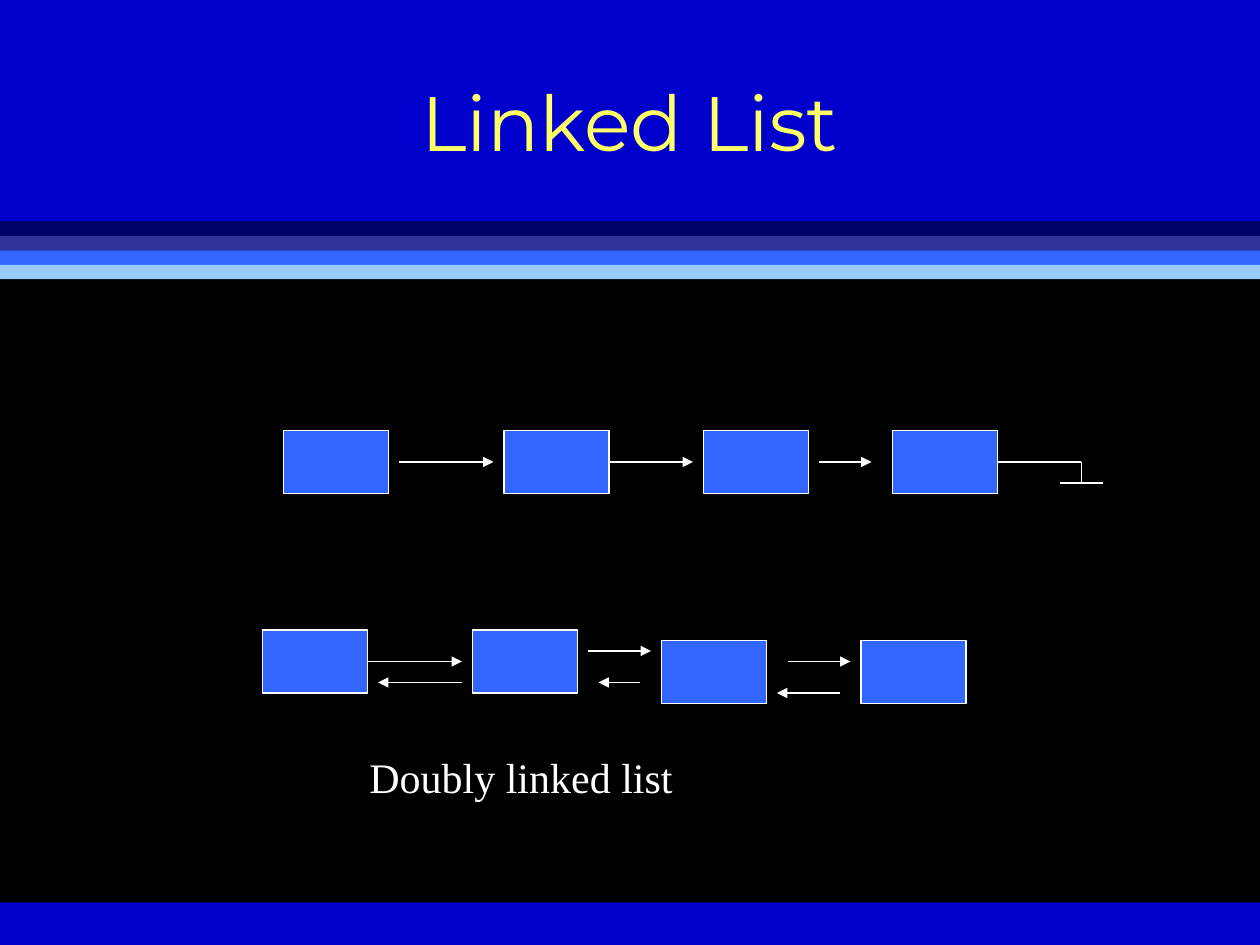
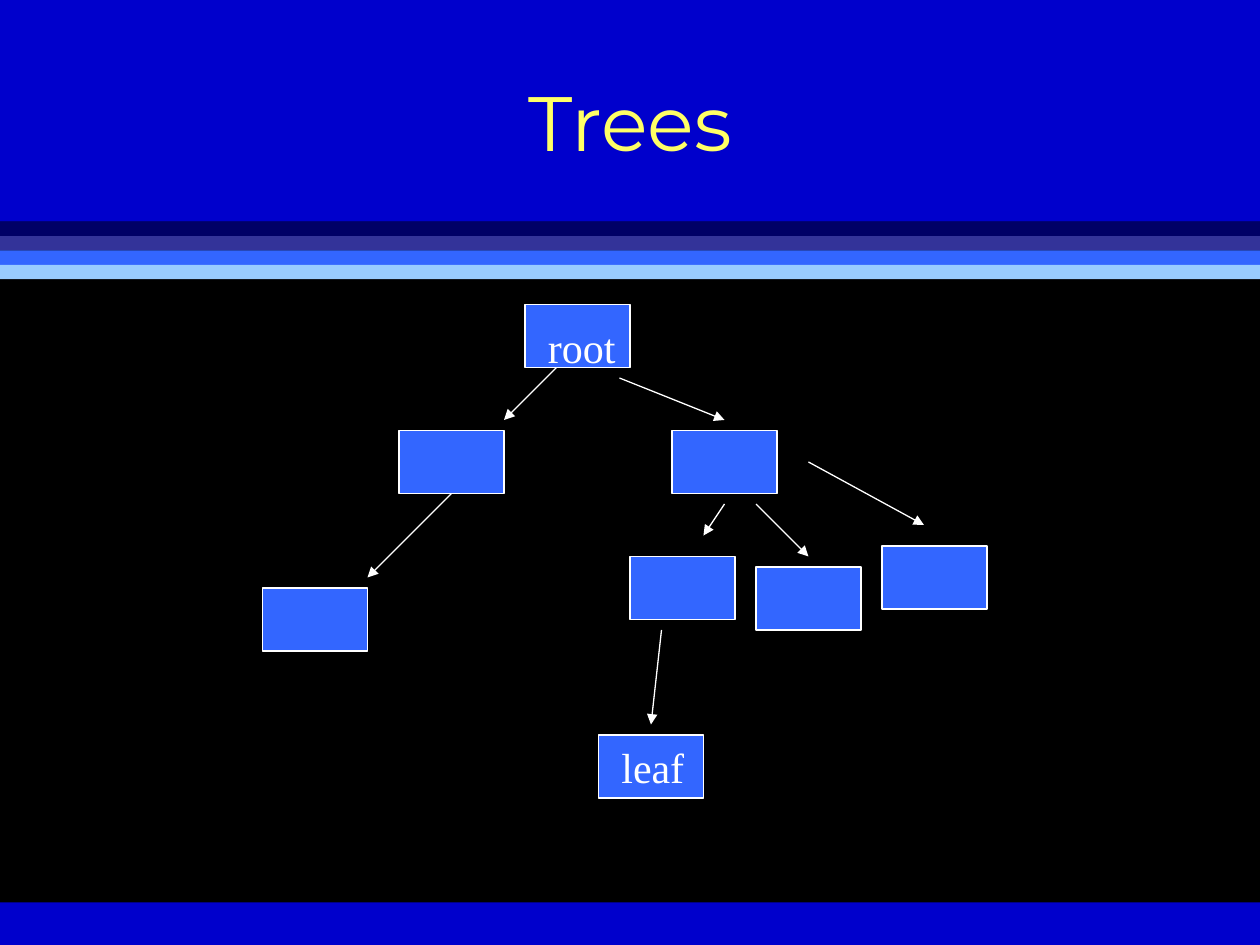
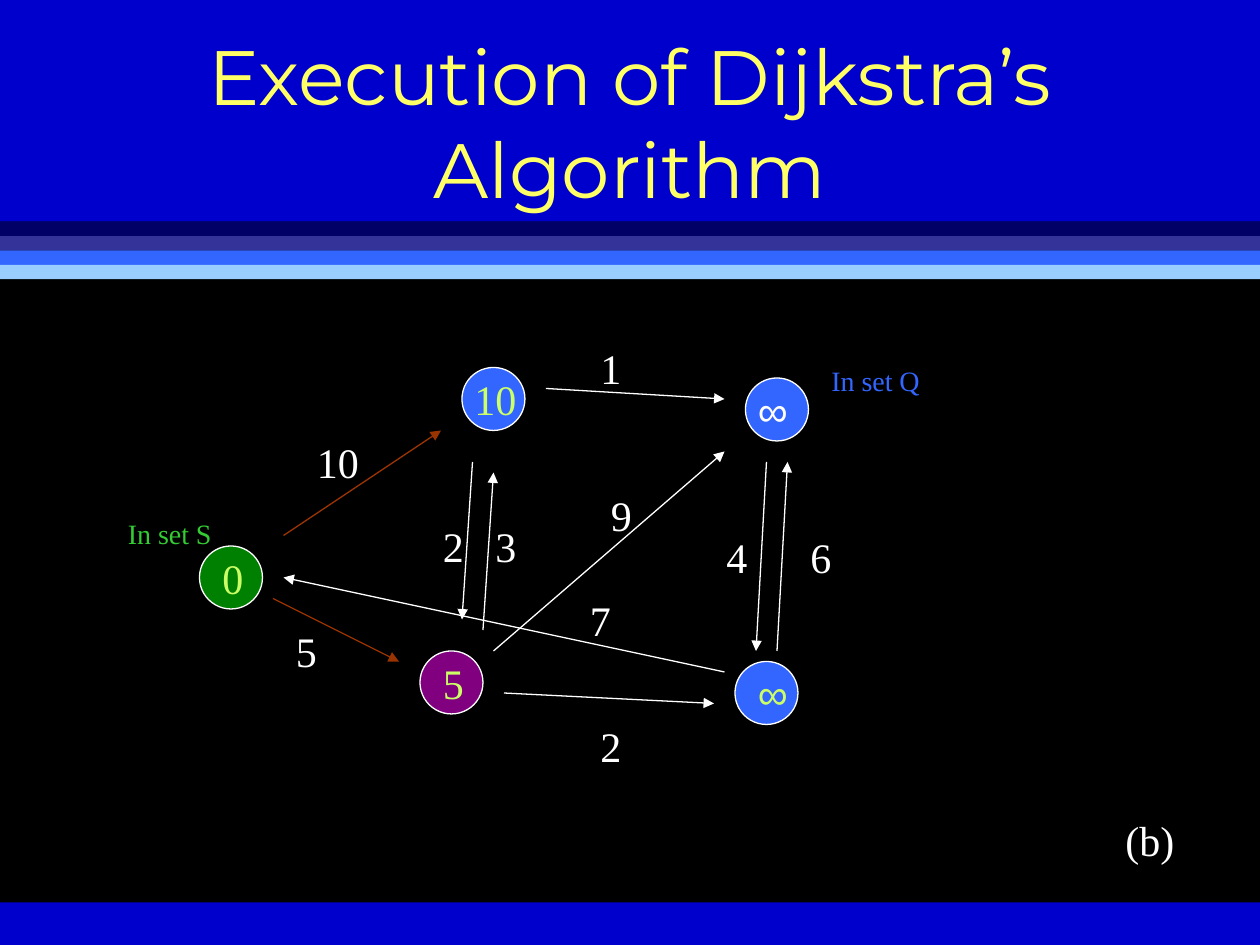
import pptx
import pptx.dml.color
import pptx.enum.shapes
import pptx.enum.text
import pptx.oxml
import pptx.oxml.ns
import pptx.util
from pptx.util import Cm

RECTANGLE = pptx.enum.shapes.MSO_SHAPE.RECTANGLE
OVAL = pptx.enum.shapes.MSO_SHAPE.OVAL
WHITE, YELLOW, LIME = "FFFFFF", "FFFF66", "CCFF66"
BLUE, BROWN, GREEN, PURPLE = "3366FF", "993300", "008000", "800080"
SERIF, SANS, TITLE_FONT = "Times New Roman", "Arial", "Montserrat"

# The diagrams sit on a grid of twelve steps to the inch.
STEP = 2.54 / 12
NODE_WIDTH, NODE_HEIGHT = 10, 6
CIRCLE_SIZE = 6
LABEL_HEIGHT = 6

# Shared bands: top, height (cm), colour
STRIPE_TOP, STRIPE_HEIGHT = 4.47, 0.29
STRIPES = ["000066", "333399", BLUE, "99CCFF"]
BANDS = [(3.81, 15.24, "000000"), (18.19, 0.86, "0000CC"), (0, STRIPE_TOP, "0000CC")]
BANDS += [(STRIPE_TOP + i * STRIPE_HEIGHT, STRIPE_HEIGHT, color)
          for i, color in enumerate(STRIPES)]

# nodes: left, top / circles: left, top, fill
# arrows and lines: start x, start y, end x, end y
# labels: text, left, top, width, format
SLIDES = [
    {
        "title": "Linked List",
        "nodes": [(27, 41), (48, 41), (67, 41), (85, 41),
                  (25, 60), (45, 60), (63, 61), (82, 61)],
        "arrows": [(38, 44, 47, 44), (58, 44, 66, 44), (78, 44, 83, 44),
                   (35, 63, 44, 63), (56, 62, 62, 62), (75, 63, 81, 63),
                   (44, 65, 36, 65), (61, 65, 57, 65), (80, 66, 74, 66)],
        "lines": [(95, 44, 103, 44), (103, 44, 103, 46), (101, 46, 105, 46)],
        "labels": [("Doubly linked list", 34, 71, 37, {})],
    },
    {
        "title": "Trees",
        "nodes": [(50, 29), (38, 41), (64, 41), (25, 56),
                  (60, 53), (72, 54), (84, 52), (57, 70)],
        "arrows": [(53, 35, 48, 40), (43, 47, 35, 55), (59, 36, 69, 40),
                   (69, 48, 67, 51), (72, 48, 77, 53), (77, 44, 88, 50),
                   (63, 60, 62, 69)],
        "labels": [("root", 51, 30, 9, {}), ("leaf", 58, 70, 12, {})],
    },
    {
        "title": "Execution of Dijkstra’s Algorithm",
        "circles": [(19, 52, GREEN), (40, 62, PURPLE), (70, 63, BLUE),
                    (71, 36, BLUE), (44, 35, BLUE)],
        "chosen arrows": [(27, 51, 42, 41), (26, 57, 38, 63)],
        "arrows": [(45, 44, 44, 59), (46, 60, 47, 45), (52, 37, 69, 38),
                   (73, 44, 72, 62), (74, 62, 75, 44), (48, 66, 68, 67),
                   (69, 64, 27, 55), (47, 62, 69, 43)],
        "labels": [
            ("10", 29, 41, 13, {}), ("5", 27, 59, 4, {}), ("2", 56, 68, 8, {}),
            ("7", 55, 56, 6, {}), ("1", 56, 32, 8, {}), ("6", 76, 50, 6, {}),
            ("4", 68, 50, 7, {}), ("2", 41, 49, 4, {}), ("3", 46, 49, 5, {}),
            ("0", 20, 52, 5, {"color": LIME}),
            ("5", 41, 62, 5, {"color": LIME}),
            ("10", 44, 35, 7, {"color": LIME}),
            ("∞", 71, 63, 4, {"color": LIME, "font": SANS}),
            ("∞", 71, 36, 8, {"font": SANS}),
            ("9", 57, 46, 5, {}),
            ("In set S", 11, 48.6, 11, {"color": "33CC33", "size": 16}),
            ("In set Q", 78, 34, 17, {"color": BLUE, "size": 16}),
            ("(b)", 106, 77, 11, {}),
        ],
    },
]


def rgb(color):
    return pptx.dml.color.RGBColor.from_string(color)


def grid(*steps):
    return [Cm(step * STEP) for step in steps]


def write(frame, text, font=SERIF, size=24, color=WHITE, align="LEFT"):
    frame.word_wrap = True
    para = frame.paragraphs[0]
    para.alignment = getattr(pptx.enum.text.PP_ALIGN, align)
    span = para.add_run()
    span.text = text
    span.font.name = font
    span.font.size = pptx.util.Pt(size)
    span.font.color.rgb = rgb(color)


def add_label(page, text, left, top, width, style):
    box = page.shapes.add_textbox(*grid(left, top, width, LABEL_HEIGHT))
    write(box.text_frame, text, **style)
    box.text_frame.auto_size = pptx.enum.text.MSO_AUTO_SIZE.SHAPE_TO_FIT_TEXT


def add_block(page, kind, place, fill, outline=None):
    shape = page.shapes.add_shape(kind, *place)
    shape.shadow.inherit = False
    shape.fill.solid()
    shape.fill.fore_color.rgb = rgb(fill)
    if outline:
        shape.line.color.rgb = rgb(outline)
        shape.line.width = pptx.util.Pt(0.75)
    else:
        shape.line.fill.background()
    return shape


def add_line(page, ends, color=WHITE, arrow=True):
    line = page.shapes.add_connector(pptx.enum.shapes.MSO_CONNECTOR.STRAIGHT, *grid(*ends))
    line.line.color.rgb = rgb(color)
    line.line.width = pptx.util.Pt(0.75)
    if arrow:
        head = pptx.oxml.parse_xml(
            f'<a:tailEnd {pptx.oxml.ns.nsdecls("a")} type="triangle"/>')
        line.line._get_or_add_ln().append(head)
    line._element.spPr.append(
        pptx.oxml.parse_xml(f'<a:effectLst {pptx.oxml.ns.nsdecls("a")}/>'))


def add_bands(deck, layout, page):
    """Draw the bands on a page, then move them behind everything in its layout."""
    for index, (top, height, color) in enumerate(BANDS):
        place = (0, Cm(top), deck.slide_width, Cm(height))
        band = add_block(page, RECTANGLE, place, color)
        layout.shapes._spTree.insert(2 + index, band._element)


def set_title(page, text):
    title = page.shapes.title
    title.left, title.top, title.width, title.height = Cm(1.9), Cm(0.85), Cm(21.6), Cm(3.18)
    frame = title.text_frame
    frame.auto_size = pptx.enum.text.MSO_AUTO_SIZE.NONE
    frame.vertical_anchor = pptx.enum.text.MSO_ANCHOR.MIDDLE
    write(frame, text, font=TITLE_FONT, size=44, color=YELLOW, align="CENTER")


def draw_diagram(page, content):
    for left, top in content.get("nodes", []):
        add_block(page, RECTANGLE, grid(left, top, NODE_WIDTH, NODE_HEIGHT), BLUE, WHITE)
    for left, top, fill in content.get("circles", []):
        add_block(page, OVAL, grid(left, top, CIRCLE_SIZE, CIRCLE_SIZE), fill, WHITE)
    for ends in content.get("chosen arrows", []):
        add_line(page, ends, color=BROWN)
    for ends in content["arrows"]:
        add_line(page, ends)
    for ends in content.get("lines", []):
        add_line(page, ends, arrow=False)
    for label in content["labels"]:
        add_label(page, *label)


def main():
    deck = pptx.Presentation()
    deck.slide_width, deck.slide_height = Cm(25.4), Cm(19.05)
    background = deck.slide_master.background.fill
    background.solid()
    background.fore_color.rgb = rgb("969696")
    layout = deck.slide_layouts.get_by_name("Title Only")
    for index, content in enumerate(SLIDES):
        page = deck.slides.add_slide(layout)
        if index == 0:
            add_bands(deck, layout, page)
        set_title(page, content["title"])
        draw_diagram(page, content)
    deck.save("out.pptx")


if __name__ == "__main__":
    main()
